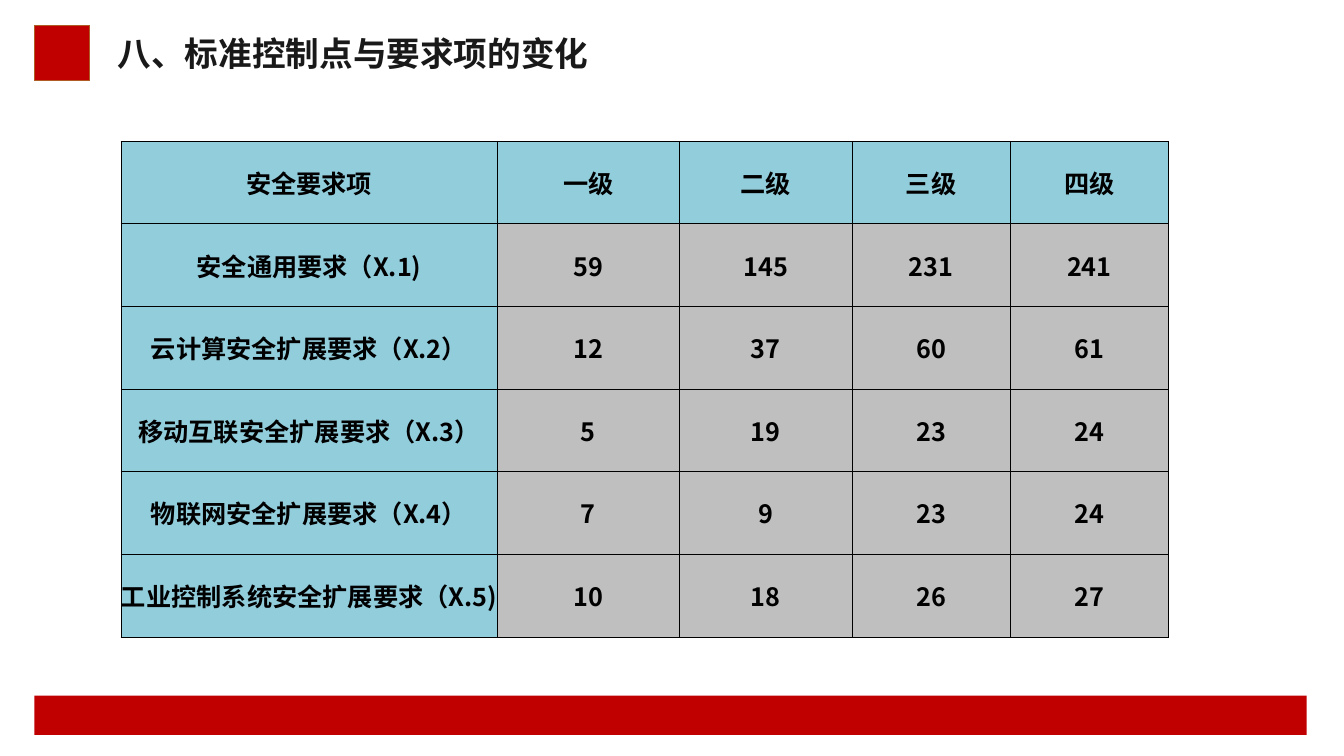
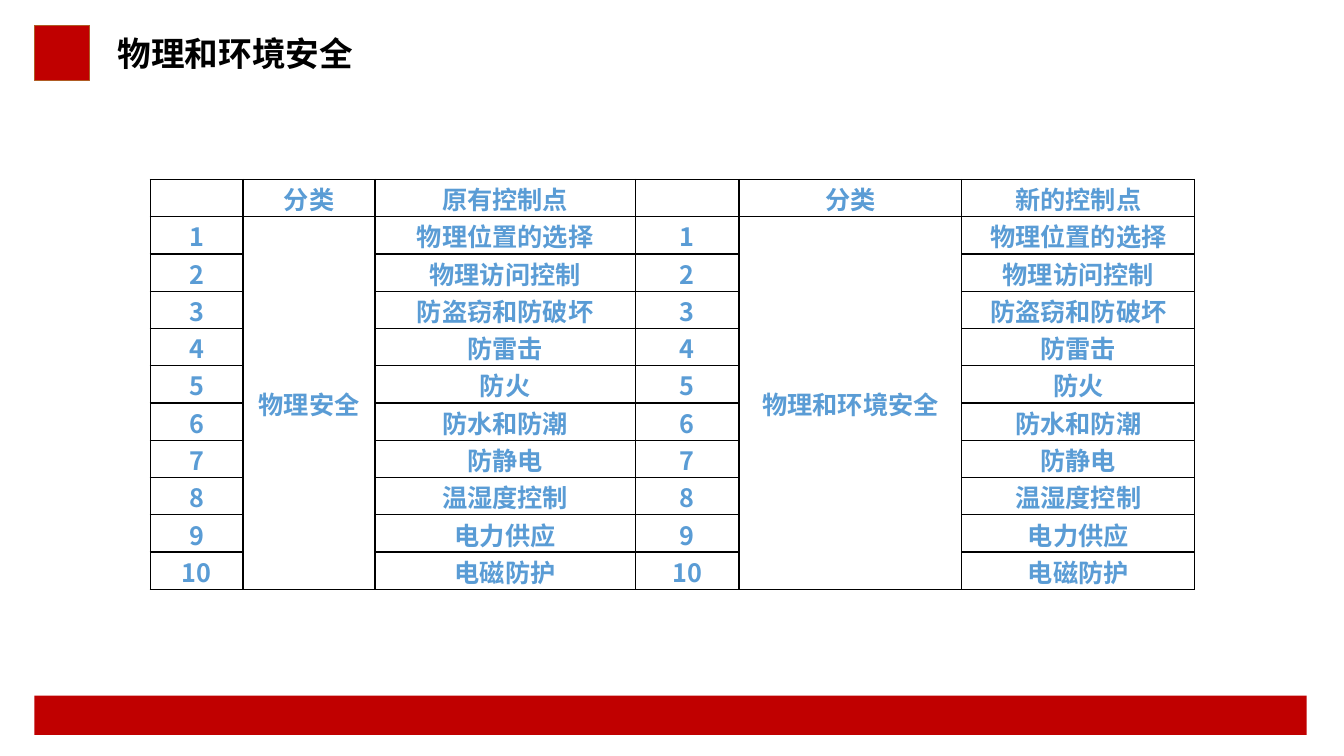
"""Build two slides that tabulate security requirements and control points."""
from dataclasses import dataclass, field

from lxml.etree import SubElement
from pptx import Presentation
from pptx.dml.color import RGBColor as RGB
from pptx.enum.shapes import MSO_SHAPE as Shape
from pptx.enum.text import MSO_ANCHOR as Anchor, PP_ALIGN as Align
from pptx.oxml.ns import qn
from pptx.presentation import Presentation as Deck
from pptx.slide import Slide
from pptx.table import _Cell as Cell
from pptx.text.text import TextFrame
from pptx.util import Emu, Pt

PX = 9144


@dataclass(frozen=True)
class Theme:
    """Colours, font and type sizes of the deck."""

    font: str = "Noto Sans CJK SC"
    title_size: int = 24
    cell_size: int = 18
    red: str = "C00000"
    brown: str = "AF5C24"
    ink: str = "191919"
    black: str = "000000"
    blue: str = "5A9CD5"
    teal: str = "92CDDC"
    grey: str = "BFBFBF"


THEME = Theme()


@dataclass(frozen=True)
class Box:
    """A rectangle in px."""

    left: int
    top: int
    width: int
    height: int

    def emu(self) -> tuple[Emu, ...]:
        """Return left, top, width and height in EMU."""
        return tuple(px(v) for v in (self.left, self.top, self.width, self.height))


@dataclass(frozen=True)
class Grid:
    """A table: place, content and look."""

    left: int
    top: int
    widths: tuple[int, ...]
    row_height: int
    rows: list[tuple[str, ...]]
    color: str
    border: float
    margin: int = 0
    head_fill: str | None = None
    body_fill: str | None = None
    merged_columns: tuple[int, ...] = field(default=())


BAND = Box(34, 690, 1262, 39)
MARKER = Box(34, 25, 55, 55)
TITLE = Box(107, 25, 604, 55)

REQUIREMENTS = [
    ("安全要求项", "一级", "二级", "三级", "四级"),
    ("安全通用要求（X.1)", "59", "145", "231", "241"),
    ("云计算安全扩展要求（X.2）", "12", "37", "60", "61"),
    ("移动互联安全扩展要求（X.3）", "5", "19", "23", "24"),
    ("物联网安全扩展要求（X.4）", "7", "9", "23", "24"),
    ("工业控制系统安全扩展要求（X.5)", "10", "18", "26", "27"),
]
CONTROLS = (
    "物理位置的选择", "物理访问控制", "防盗窃和防破坏", "防雷击", "防火",
    "防水和防潮", "防静电", "温湿度控制", "电力供应", "电磁防护",
)


def px(value: int) -> Emu:
    """Turn px into EMU."""
    return Emu(value * PX)


def control_rows() -> list[tuple[str, ...]]:
    """Pair the old control points with the new ones."""
    rows = [("", "分类", "原有控制点", "", "分类", "新的控制点")]
    for n, control in enumerate(CONTROLS, 1):
        old, new = ("物理安全", "物理和环境安全") if n == 1 else ("", "")
        rows.append((str(n), old, control, str(n), new, control))
    return rows


def set_text(tf: TextFrame, text: str, size: int, color: str, align: Align) -> None:
    """Write one bold paragraph."""
    p = tf.paragraphs[0]
    p.text = text
    p.alignment = align
    for r in p.runs:
        r.font.size = Pt(size)
        r.font.bold = True
        r.font.color.rgb = RGB.from_string(color)
        r.font.name = THEME.font
        SubElement(r.font._element, qn("a:ea"), typeface=THEME.font)


def add_block(s: Slide, box: Box, line: str | None = None) -> None:
    """Draw a red rectangle, outlined when a line colour is given."""
    sp = s.shapes.add_shape(Shape.RECTANGLE, *box.emu())
    sp.shadow.inherit = False
    sp.fill.solid()
    sp.fill.fore_color.rgb = RGB.from_string(THEME.red)
    if line:
        sp.line.color.rgb = RGB.from_string(line)
        sp.line.width = Pt(1)
    else:
        sp.line.fill.background()


def add_slide(prs: Deck, title: str, color: str) -> Slide:
    """Add a slide with the shared band, marker and title."""
    s = prs.slides.add_slide(prs.slide_layouts[6])
    add_block(s, BAND)
    add_block(s, MARKER, THEME.brown)
    tf = s.shapes.add_textbox(*TITLE.emu()).text_frame
    tf.word_wrap = True
    tf.vertical_anchor = Anchor.MIDDLE
    set_text(tf, title, THEME.title_size, color, Align.LEFT)
    return s


def set_borders(cell: Cell, width: float) -> None:
    """Draw black lines on all four sides of a cell."""
    props = cell._tc.get_or_add_tcPr()
    for i, side in enumerate(("lnL", "lnR", "lnT", "lnB")):
        ln = SubElement(props, qn(f"a:{side}"), w=str(Pt(width)))
        SubElement(SubElement(ln, qn("a:solidFill")), qn("a:srgbClr"), val=THEME.black)
        props.insert(i, ln)


def format_cell(cell: Cell, grid: Grid, fill: str | None) -> None:
    """Set the margins, anchor, fill and borders of a cell."""
    cell.margin_left = cell.margin_right = cell.margin_top = px(grid.margin)
    cell.margin_bottom = 0
    cell.vertical_anchor = Anchor.MIDDLE
    if fill:
        cell.fill.solid()
        cell.fill.fore_color.rgb = RGB.from_string(fill)
    else:
        cell.fill.background()
    set_borders(cell, grid.border)


def add_grid(s: Slide, grid: Grid) -> None:
    """Draw a table from its description."""
    count = len(grid.rows)
    box = Box(grid.left, grid.top, sum(grid.widths), count * grid.row_height)
    table = s.shapes.add_table(count, len(grid.widths), *box.emu()).table
    table.first_row = table.horz_banding = False
    for column, width in zip(table.columns, grid.widths):
        column.width = px(width)
    for i, texts in enumerate(grid.rows):
        table.rows[i].height = px(grid.row_height)
        for j, text in enumerate(texts):
            cell = table.cell(i, j)
            is_head = i == 0 or j == 0
            format_cell(cell, grid, grid.head_fill if is_head else grid.body_fill)
            set_text(cell.text_frame, text, THEME.cell_size, grid.color, Align.CENTER)
    for j in grid.merged_columns:
        table.cell(1, j).merge(table.cell(count - 1, j))


def main() -> None:
    """Build and save the deck."""
    prs = Presentation()
    prs.slide_width, prs.slide_height = px(1333), px(750)
    s = add_slide(prs, "八、标准控制点与要求项的变化", THEME.ink)
    add_grid(s, Grid(
        left=120, top=140, widths=(373, 181, 171, 157, 157), row_height=82,
        rows=REQUIREMENTS, color=THEME.black, border=0.5,
        head_fill=THEME.teal, body_fill=THEME.grey,
    ))
    s = add_slide(prs, "物理和环境安全", THEME.black)
    add_grid(s, Grid(
        left=149, top=178, widths=(92, 131, 258, 103, 221, 231), row_height=37,
        rows=control_rows(), color=THEME.blue, border=1, margin=1,
        merged_columns=(1, 4),
    ))
    prs.save("out.pptx")


if __name__ == "__main__":
    main()
